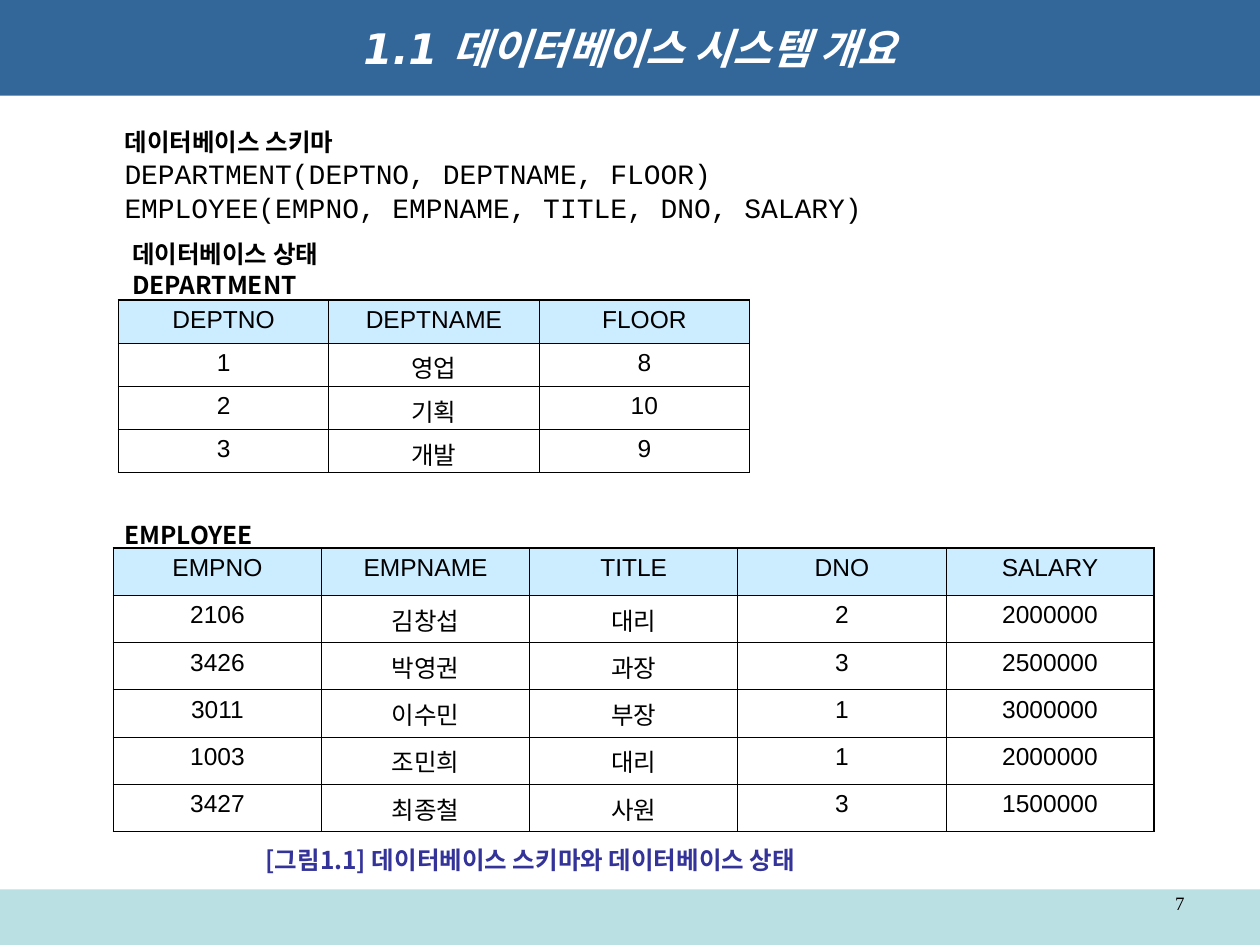
from lxml import etree
from pptx import Presentation
from pptx.dml.color import RGBColor
from pptx.enum.shapes import MSO_SHAPE
from pptx.enum.text import MSO_ANCHOR, MSO_AUTO_SIZE, PP_ALIGN
from pptx.oxml.ns import qn
from pptx.util import Inches, Pt

RECT = MSO_SHAPE.RECTANGLE
MID = MSO_ANCHOR.MIDDLE
GROW = MSO_AUTO_SIZE.SHAPE_TO_FIT_TEXT
CENTER, RIGHT, JUST = PP_ALIGN.CENTER, PP_ALIGN.RIGHT, PP_ALIGN.JUSTIFY

COLORS = {"band": "336699", "foot": "BBE0E3", "head": "CCECFF",
          "ink": "000000", "white": "FFFFFF", "note": "333399"}
KOREAN, MONO = "Noto Sans CJK KR", "Courier New"
THICK, THIN = 1.08, 0.45

# Boxes are left, top, width, height in percent of the slide.
TITLE = "1.1 데이터베이스 시스템 개요"
TITLE_BOX = (0, 0, 100, 10.13)
FOOT_BOX = (0, 94.13, 100, 5.87)
PAGE, PAGE_BOX = "7", (71.7, 94.13, 23.3, 3.87)

SCHEMA_BOX = (8.9, 11.87, 67.7, 12.53)
SCHEMA = [
    "데이터베이스 스키마",
    "DEPARTMENT(DEPTNO, DEPTNAME, FLOOR)",
    "EMPLOYEE(EMPNO, EMPNAME, TITLE, DNO, SALARY)",
]

TABLES = [
    ((9.4, 31.73, 50.1, 18.27), [
        ("DEPTNO", "DEPTNAME", "FLOOR"),
        ("1", "영업", "8"),
        ("2", "기획", "10"),
        ("3", "개발", "9"),
    ]),
    ((9, 58, 82.6, 30), [
        ("EMPNO", "EMPNAME", "TITLE", "DNO", "SALARY"),
        ("2106", "김창섭", "대리", "2", "2000000"),
        ("3426", "박영권", "과장", "3", "2500000"),
        ("3011", "이수민", "부장", "1", "3000000"),
        ("1003", "조민희", "대리", "1", "2000000"),
        ("3427", "최종철", "사원", "3", "1500000"),
    ]),
]

LABELS = [
    ((9.5, 24.67, 67.7, 7.73), ["데이터베이스 상태", "DEPARTMENT"], "ink"),
    ((8.9, 54.4, 67.7, 4.53), ["EMPLOYEE"], "ink"),
    ((20.1, 88.8, 67.7, 4.53),
     ["[그림1.1] 데이터베이스 스키마와 데이터베이스 상태"], "note"),
]

deck = Presentation()
deck.slide_width, deck.slide_height = Inches(10), Inches(7.5)
slide = deck.slides.add_slide(deck.slide_layouts[6])
shapes = slide.shapes


def rgb(name):
    return RGBColor.from_string(COLORS[name])


def place(box):
    sizes = (deck.slide_width, deck.slide_height) * 2
    return [round(part * size / 100) for part, size in zip(box, sizes)]


def style(para, size, face, color="ink", align=JUST, bold=False, italic=False):
    """Format a paragraph and its runs, with one face for Korean script."""
    para.alignment = align
    for run in para.runs:
        font = run.font
        font.size, font.name = Pt(size), face
        font.bold, font.italic = bold, italic
        font.color.rgb = rgb(color)
        east = etree.SubElement(font._element, qn("a:ea"))
        east.set("typeface", KOREAN)


def band(box, color):
    shape = shapes.add_shape(RECT, *place(box))
    shape.shadow.inherit = False
    shape.fill.solid()
    shape.fill.fore_color.rgb = rgb(color)
    shape.line.fill.background()
    return shape


def write(box, lines):
    """Add a wrapped text box and return its paragraphs."""
    frame = shapes.add_textbox(*place(box)).text_frame
    frame.word_wrap = True
    frame.text = "\n".join(lines)
    return frame.paragraphs


def edge(cell, side, width):
    line = etree.SubElement(cell._tc.get_or_add_tcPr(), qn(f"a:ln{side}"))
    line.set("w", str(Pt(width)))
    fill = etree.SubElement(line, qn("a:solidFill"))
    etree.SubElement(fill, qn("a:srgbClr")).set("val", COLORS["ink"])


def grid(box, data):
    """Add a table with equal cells, thick outside and thin inside."""
    rows, cols = len(data), len(data[0])
    left, top, width, height = place(box)
    table = shapes.add_table(rows, cols, left, top, width, height).table
    table.first_row = table.horz_banding = False
    for col in table.columns:
        col.width = width // cols
    for row in table.rows:
        row.height = height // rows
    for r, texts in enumerate(data):
        for c, text in enumerate(texts):
            cell = table.cell(r, c)
            cell.text = text
            style(cell.text_frame.paragraphs[0], 14, "Arial", align=CENTER)
            outer = {"L": c == 0, "R": c == cols - 1,
                     "T": r == 0, "B": r == rows - 1}
            for side, thick in outer.items():
                edge(cell, side, THICK if thick else THIN)
            if r == 0:
                cell.fill.solid()
                cell.fill.fore_color.rgb = rgb("head")
            else:
                cell.fill.background()


band(FOOT_BOX, "foot")
page = write(PAGE_BOX, [PAGE])[0]
style(page, 10.8, "Times New Roman", align=RIGHT)
page.line_spacing = 0.8

heading, *relations = write(SCHEMA_BOX, SCHEMA)
style(heading, 14, KOREAN, bold=True)
heading.line_spacing = 1.3
for para in relations:
    style(para, 16, MONO)

frame = band(TITLE_BOX, "band").text_frame
frame.vertical_anchor = MID
frame.text = TITLE
style(frame.paragraphs[0], 24, "DejaVu Sans", "white", CENTER, True, True)

for box, data in TABLES:
    grid(box, data)

for box, lines, color in LABELS:
    paras = write(box, lines)
    shapes[-1].text_frame.auto_size = GROW
    for para in paras:
        style(para, 14, KOREAN, color, bold=True)
    for para in paras[1:]:
        para.space_before = Pt(0.9)

deck.save("out.pptx")
